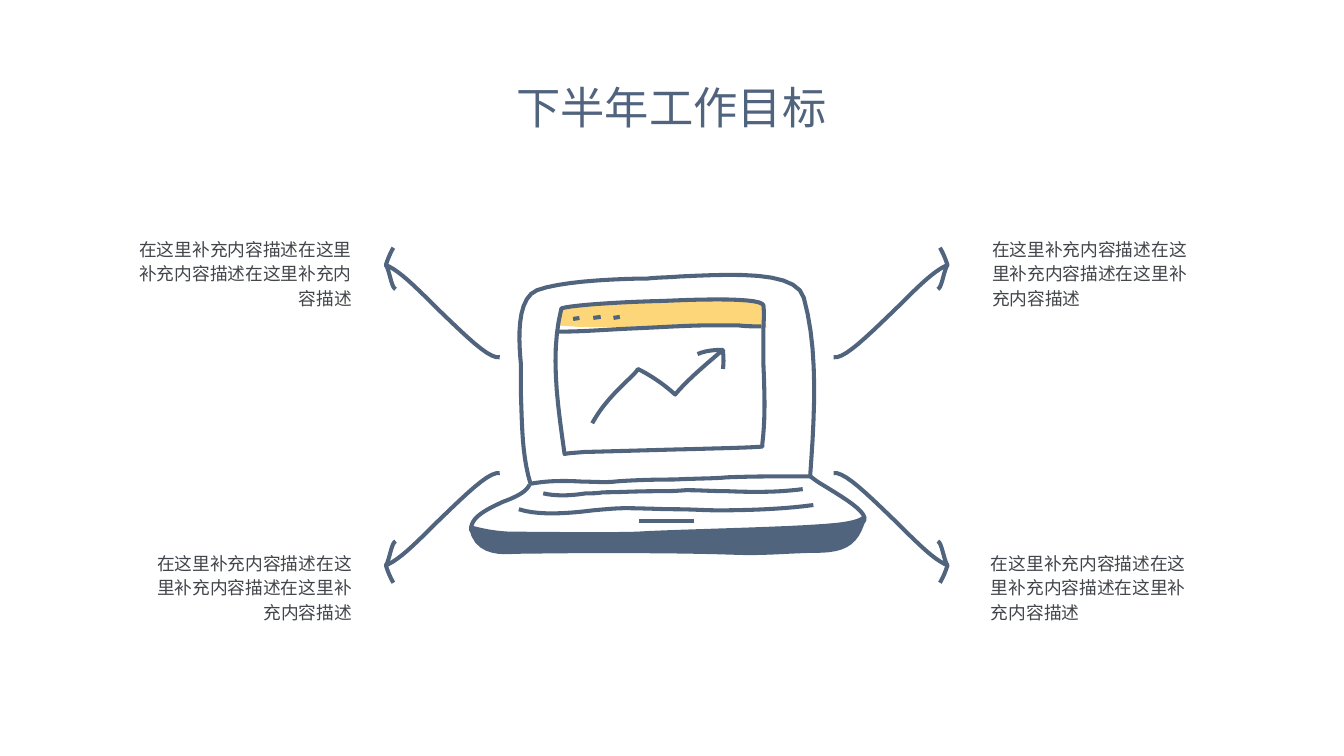
from dataclasses import dataclass
from itertools import product
from typing import Optional

from lxml.etree import SubElement
from pptx import Presentation
from pptx.dml.color import RGBColor
from pptx.enum.text import MSO_ANCHOR, MSO_AUTO_SIZE, PP_ALIGN
from pptx.oxml.ns import qn
from pptx.util import Inches, Pt

COLORS = {"ink": "51647E", "bar": "FDD67A", "body": "42464B"}
FONT = "Noto Sans CJK SC"
PEN = 2.75
CURVE_STEPS = 10
MIRROR_X, MIRROR_Y = 6.27, 3.905
CAPTION = "在这里补充内容描述" * 3


@dataclass
class Stroke:
    start: tuple
    segments: list
    fill: Optional[str] = None
    line: Optional[str] = "ink"
    closed: bool = False


@dataclass
class Caption:
    left: float
    top: float
    width: float
    align: PP_ALIGN


TITLE_BAR = Stroke((7.2, 3.02), [
    (7.2, 2.93, 7.21, 2.81, 7.07, 2.82), (6.93, 2.83, 6.8, 2.8, 6.66, 2.81),
    (6.31, 2.81, 5.96, 2.83, 5.61, 2.86), (5.5, 2.87, 5.39, 2.87, 5.29, 2.89),
    (5.27, 2.95, 5.26, 3.01, 5.24, 3.06), (5.89, 3.12, 6.55, 3, 7.21, 3.08),
], fill="bar", line=None, closed=True)

BAR_EDGE = Stroke((5.25, 3.12), [
    (5.48, 3.12, 5.72, 3.1, 5.94, 3.09), (6.2, 3.08, 6.46, 3.06, 6.72, 3.06),
    (6.79, 3.06, 6.87, 3.06, 6.94, 3.06), (7.01, 3.07, 7.09, 3.07, 7.16, 3.07),
])

BUTTONS = [
    Stroke((5.39, 3), [(5.45, 2.99)]),
    Stroke((5.58, 2.99), [(5.65, 2.98)]),
    Stroke((5.77, 2.99), [(5.83, 2.98)]),
]

TREND = [
    Stroke((5.57, 3.98), [
        (5.61, 3.91, 5.65, 3.85, 5.7, 3.79), (5.78, 3.69, 5.88, 3.6, 5.95, 3.53),
        (5.97, 3.51, 5.99, 3.49, 6, 3.47), (6.12, 3.53, 6.24, 3.61, 6.35, 3.71),
        (6.46, 3.58, 6.6, 3.46, 6.8, 3.29),
    ]),
    Stroke((6.56, 3.33), [
        (6.63, 3.3, 6.71, 3.29, 6.8, 3.29), (6.8, 3.33, 6.81, 3.37, 6.8, 3.47),
    ]),
]

BASE = Stroke((4.43, 4.96), [
    (4.48, 5.24, 4.77, 5.19, 4.87, 5.19), (5.54, 5.18, 6.36, 5.18, 6.94, 5.2),
    (7.21, 5.21, 7.46, 5.18, 7.73, 5.18), (7.97, 5.17, 8.07, 5.09, 8.13, 4.86),
    (8.13, 4.86, 8.11, 4.93, 7.71, 4.95), (7.3, 4.98, 6.29, 5, 5.99, 5.02),
    (5.69, 5.03, 5, 5.02, 4.79, 5.02), (4.58, 5.01, 4.43, 4.96, 4.43, 4.96),
], fill="ink", closed=True)

LID = Stroke((4.99, 4.55), [
    (4.91, 4.29, 4.91, 4, 4.9, 3.72), (4.9, 3.62, 4.9, 3.52, 4.9, 3.43),
    (4.88, 3.22, 4.85, 2.81, 5.05, 2.73), (5.31, 2.63, 5.97, 2.62, 6.09, 2.62),
    (6.17, 2.61, 6.28, 2.61, 6.4, 2.6), (6.87, 2.58, 7.49, 2.54, 7.56, 2.8),
    (7.7, 3.3, 7.66, 3.92, 7.62, 4.48), (7.34, 4.48, 7.06, 4.48, 6.83, 4.49),
    (6.75, 4.5, 6.55, 4.5, 6.34, 4.51), (6.11, 4.51, 5.87, 4.52, 5.78, 4.53),
    (5.69, 4.54, 5.58, 4.53, 5.48, 4.53), (5.32, 4.52, 5.15, 4.52, 4.99, 4.55),
], closed=True)

DECK = Stroke((4.98, 4.56), [
    (4.95, 4.63, 4.84, 4.68, 4.73, 4.72), (4.58, 4.79, 4.43, 4.86, 4.43, 4.98),
    (4.44, 5.02, 4.55, 5.05, 5.24, 5.05), (5.66, 5.05, 6.15, 5.04, 6.48, 5.03),
    (6.66, 5.02, 6.79, 5.02, 6.83, 5.02), (7.06, 5.02, 7.28, 5, 7.5, 4.98),
    (7.66, 4.96, 7.83, 4.94, 8, 4.93), (8.08, 4.93, 8.12, 4.92, 8.13, 4.89),
    (8.15, 4.81, 7.95, 4.69, 7.72, 4.55), (7.67, 4.52, 7.65, 4.5, 7.62, 4.48),
])

TRACKPAD = Stroke((6.01, 4.9), [(6.53, 4.9)])

KEY_ROWS = [
    Stroke((5.11, 4.64), [
        (5.24, 4.67, 5.38, 4.66, 5.51, 4.64), (5.57, 4.64, 5.62, 4.64, 5.67, 4.63),
        (5.82, 4.63, 5.98, 4.62, 6.14, 4.62), (6.24, 4.62, 6.34, 4.62, 6.45, 4.61),
        (6.58, 4.61, 6.72, 4.62, 6.85, 4.62), (7.09, 4.63, 7.33, 4.63, 7.55, 4.6),
    ]),
    Stroke((4.88, 4.79), [
        (5.07, 4.85, 5.34, 4.83, 5.58, 4.8), (5.69, 4.79, 5.79, 4.78, 5.88, 4.78),
        (6.05, 4.78, 6.22, 4.79, 6.38, 4.79), (6.5, 4.79, 6.63, 4.8, 6.76, 4.8),
        (7.02, 4.8, 7.36, 4.79, 7.65, 4.75),
    ]),
]

SCREEN = Stroke((5.31, 4.27), [
    (5.23, 3.72, 5.18, 3.3, 5.28, 2.9), (5.37, 2.87, 5.81, 2.84, 6.24, 2.83),
    (6.88, 2.8, 7.16, 2.82, 7.18, 2.87), (7.19, 2.97, 7.18, 3.03, 7.18, 3.1),
    (7.18, 3.2, 7.18, 3.32, 7.18, 3.43), (7.19, 3.68, 7.2, 3.92, 7.17, 4.17),
    (7.17, 4.2), (7.07, 4.21, 6.64, 4.22, 6.25, 4.23),
    (5.89, 4.24, 5.56, 4.25, 5.5, 4.25), (5.4, 4.26, 5.35, 4.26, 5.31, 4.27),
], closed=True)

LAPTOP = [TITLE_BAR, BAR_EDGE, *BUTTONS, *TREND, BASE, LID, DECK, TRACKPAD,
          *KEY_ROWS, SCREEN]

ARROW = [
    Stroke((7.84, 3.36), [
        (7.94, 3.38, 8.16, 3.16, 8.45, 2.88), (8.63, 2.7, 8.8, 2.53, 8.92, 2.49),
    ]),
    Stroke((8.84, 2.33), [
        (8.87, 2.38, 8.89, 2.43, 8.91, 2.49), (8.87, 2.57, 8.86, 2.7, 8.82, 2.72),
    ]),
]

CAPTIONS = [
    Caption(9.33, 2.2, 1.98, PP_ALIGN.LEFT),
    Caption(9.32, 5.15, 1.98, PP_ALIGN.LEFT),
    Caption(1.28, 2.2, 2.03, PP_ALIGN.RIGHT),
    Caption(1.34, 5.15, 1.97, PP_ALIGN.RIGHT),
]


def trace(stroke: Stroke) -> list:
    points = [stroke.start]
    for seg in stroke.segments:
        if len(seg) == 2:
            points.append(seg)
            continue
        x0, y0 = points[-1]
        x1, y1, x2, y2, x3, y3 = seg
        for i in range(1, CURVE_STEPS + 1):
            t = i / CURVE_STEPS
            a, b, c, d = (1 - t) ** 3, 3 * t * (1 - t) ** 2, 3 * t * t * (1 - t), t ** 3
            points.append((a * x0 + b * x1 + c * x2 + d * x3,
                           a * y0 + b * y1 + c * y2 + d * y3))
    return points


def draw_stroke(s, stroke: Stroke, flip_x: bool = False, flip_y: bool = False) -> None:
    points = [(Inches(2 * MIRROR_X - x if flip_x else x),
               Inches(2 * MIRROR_Y - y if flip_y else y)) for x, y in trace(stroke)]
    builder = s.shapes.build_freeform(*points[0])
    builder.add_line_segments(points[1:], close=stroke.closed)
    sp = builder.convert_to_shape()
    sp.shadow.inherit = False
    if stroke.fill:
        sp.fill.solid()
        sp.fill.fore_color.rgb = RGBColor.from_string(COLORS[stroke.fill])
    else:
        sp.fill.background()
    if stroke.line:
        sp.line.color.rgb = RGBColor.from_string(COLORS[stroke.line])
        sp.line.width = Pt(PEN)
    else:
        sp.line.fill.background()


def add_text(s, text: str, *, left: float, top: float, width: float, height: float,
             size: float, color: str, align: PP_ALIGN) -> None:
    sp = s.shapes.add_textbox(Inches(left), Inches(top), Inches(width), Inches(height))
    tf = sp.text_frame
    tf.word_wrap = True
    tf.auto_size = MSO_AUTO_SIZE.SHAPE_TO_FIT_TEXT
    tf.vertical_anchor = MSO_ANCHOR.MIDDLE
    tf.margin_left = tf.margin_right = tf.margin_top = tf.margin_bottom = 0
    p = tf.paragraphs[0]
    p.alignment = align
    p.line_spacing = 1.16
    r = p.add_run()
    r.text = text
    r.font.size = Pt(size)
    r.font.name = FONT
    r.font.color.rgb = RGBColor.from_string(COLORS[color])
    SubElement(r.font._element, qn("a:ea")).set("typeface", FONT)


def main() -> None:
    prs = Presentation()
    prs.slide_width, prs.slide_height = Inches(12.64), Inches(7.11)
    s = prs.slides.add_slide(prs.slide_layouts[6])
    add_text(s, "下半年工作目标", left=3.58, top=0.66, width=5.47, height=0.61,
             size=30, color="ink", align=PP_ALIGN.CENTER)
    for stroke in LAPTOP:
        draw_stroke(s, stroke)
    for flip_x, flip_y in product((False, True), repeat=2):
        for stroke in ARROW:
            draw_stroke(s, stroke, flip_x, flip_y)
    for c in CAPTIONS:
        add_text(s, CAPTION, left=c.left, top=c.top, width=c.width, height=0.72,
                 size=12, color="body", align=c.align)
    prs.save("out.pptx")


if __name__ == "__main__":
    main()
